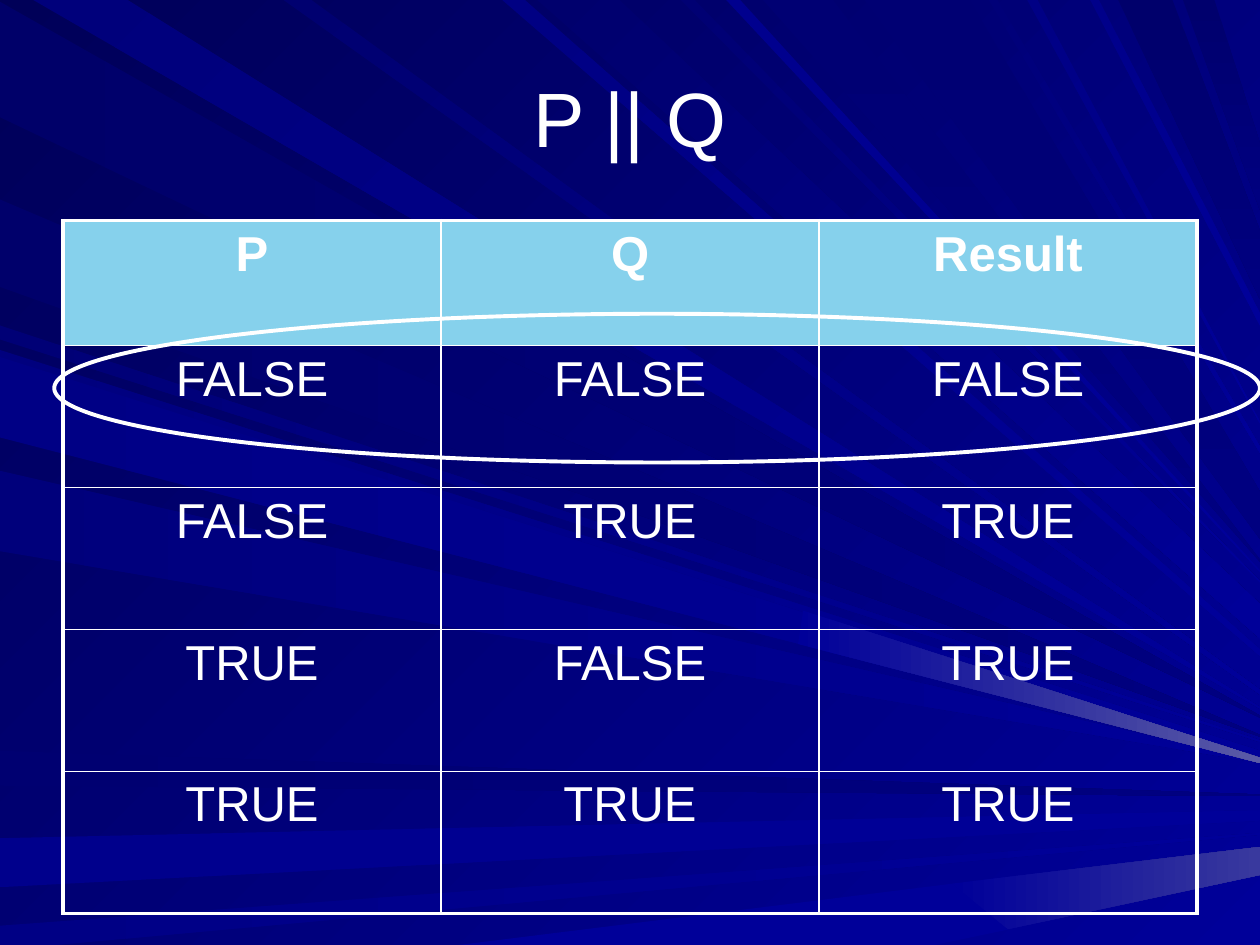
from lxml.etree import SubElement
from pptx import Presentation
from pptx.dml.color import RGBColor
from pptx.enum.shapes import MSO_SHAPE as Shape
from pptx.enum.text import MSO_ANCHOR as Anchor, PP_ALIGN as Align
from pptx.oxml.ns import qn
from pptx.util import Pt

WHITE, NAVY, BLUE = "FFFFFF", "000080", "000099"
WIDTH, HEIGHT = 720, 540

# Each ray: start and end of its root on the slide edge,
# top and bottom of its tip on the right edge, first and last colour
LEFT_RAYS = [
    (1, 67, 409, 410, "000069", NAVY),
    (429, 449, 454, 455, "000071", NAVY),
    (479, 507, 463, 469, "00008C", BLUE),
    (529, 543, 476, 477, "000085", BLUE),
    (186, 194, 423, 424, "000076", BLUE),
    (114, 164, 420, 421, "00006B", NAVY),
    (200, 246, 429, 433, "00007E", BLUE),
    (269, 315, 435, 436, "00007B", BLUE),
    (204, 250, 433, 436, "000085", BLUE),
]
TOP_RAYS = [
    (19, 73, 404, 405, "00007B", BLUE),
    (287, 300, 371, 375, "000083", BLUE),
    (307, 354, 345, 365, "00006D", BLUE),
    (389, 397, 332, 333, "000073", BLUE),
    (436, 476, 320, 321, "000073", NAVY),
    (639, 670, 132, 171, "00006B", NAVY),
    (676, 694, 82, 120, "00006D", NAVY),
    (162, 178, 394, 397, "000070", BLUE),
    (415, 423, 326, 327, "00008E", BLUE),
    (494, 554, 281, 308, "000073", NAVY),
    (565, 570, 255, 259, "000078", BLUE),
    (587, 593, 241, 242, "000085", BLUE),
    (623, 628, 179, 186, "00008A", BLUE),
]
# Bright patches near the lower right: corners, first and last colour
GLOWS = [
    ([(262, 540), (544, 505), (577, 531), (534, 540)], BLUE, BLUE),
    ([(544, 505), (720, 484), (720, 500), (576, 531)], BLUE, "39399E"),
    ([(459, 349), (720, 433), (720, 436), (456, 368)], BLUE, "5A5AA6"),
]

TRUTH_TABLE = [
    ("P", "Q", "Result"),
    ("FALSE", "FALSE", "FALSE"),
    ("FALSE", "TRUE", "TRUE"),
    ("TRUE", "FALSE", "TRUE"),
    ("TRUE", "TRUE", "TRUE"),
]


def color(hex_string):
    return RGBColor.from_string(hex_string)


def fill_gradient(fill, first, last, angle):
    """Fill from first to last colour; the angle runs clockwise."""
    if first == last:
        fill.solid()
        fill.fore_color.rgb = color(first)
        return
    fill.gradient()
    fill.gradient_angle = -angle % 360
    for stop, stop_color in zip(fill.gradient_stops, (first, last)):
        stop.color.rgb = color(stop_color)


def add_text(paragraph, text, size, bold=False):
    paragraph.alignment = Align.CENTER
    run = paragraph.add_run()
    run.text = text
    run.font.name = "Arial"
    run.font.size = Pt(size)
    run.font.bold = bold
    run.font.color.rgb = color(WHITE)


def add_ray(shapes, corners, first, last, angle):
    start, *others = corners
    builder = shapes.build_freeform(*start, scale=Pt(1))
    builder.add_line_segments(others, close=True)
    ray = builder.convert_to_shape()
    ray.shadow.inherit = False
    ray.line.fill.background()
    fill_gradient(ray.fill, first, last, angle)


def add_backdrop(slide):
    fill_gradient(slide.background.fill, "000058", BLUE, 45)
    shapes = slide.shapes.add_group_shape().shapes
    for start, end, tip_top, tip_bottom, first, last in LEFT_RAYS:
        corners = [(0, start), (WIDTH, tip_top), (WIDTH, tip_bottom), (0, end)]
        add_ray(shapes, corners, first, last, 0)
    for start, end, tip_top, tip_bottom, first, last in TOP_RAYS:
        corners = [(start, 0), (end, 0), (WIDTH, tip_top), (WIDTH, tip_bottom)]
        add_ray(shapes, corners, first, last, 90 if last == NAVY else 45)
    for corners, first, last in GLOWS:
        add_ray(shapes, corners, first, last, 0)


def place_title(slide, text, left, top, width, height):
    title = slide.shapes.title
    title.element.getparent().append(title.element)  # in front of the rays
    title.left, title.top, title.width, title.height = map(Pt, (left, top, width, height))
    title.text_frame.vertical_anchor = Anchor.MIDDLE
    add_text(title.text_frame.paragraphs[0], text, 44)


def set_border(cell, side, width):
    properties = cell._tc.get_or_add_tcPr()
    line = SubElement(properties, qn(f"a:ln{side}"), w=str(Pt(width)))
    fill = SubElement(line, qn("a:solidFill"))
    SubElement(fill, qn("a:srgbClr"), val=WHITE)


def add_truth_table(slide, rows, left, top, width, header_height, row_height):
    row_count, column_count = len(rows), len(rows[0])
    height = header_height + row_height * (row_count - 1)
    frame = slide.shapes.add_table(row_count, column_count, *map(Pt, (left, top, width, height)))
    table = frame.table
    table.first_row = table.horz_banding = False
    for row_index, values in enumerate(rows):
        is_header = row_index == 0
        table.rows[row_index].height = Pt(header_height if is_header else row_height)
        for column_index, value in enumerate(values):
            cell = table.cell(row_index, column_index)
            on_edge = {
                "L": column_index == 0,
                "R": column_index == column_count - 1,
                "T": is_header,
                "B": row_index == row_count - 1,
            }
            for side, is_outer in on_edge.items():
                set_border(cell, side, 2.25 if is_outer else 1)
            if is_header:
                cell.fill.solid()
                cell.fill.fore_color.rgb = color("86D1EC")
            else:
                cell.fill.background()
            add_text(cell.text_frame.paragraphs[0], value, 28, bold=is_header)


def add_highlight_ring(slide, left, top, width, height):
    ring = slide.shapes.add_shape(Shape.OVAL, *map(Pt, (left, top, width, height)))
    ring.shadow.inherit = False
    ring.fill.background()
    ring.line.color.rgb = color(WHITE)
    ring.line.width = Pt(2.25)


def main():
    presentation = Presentation()
    presentation.slide_width, presentation.slide_height = Pt(WIDTH), Pt(HEIGHT)
    slide = presentation.slides.add_slide(presentation.slide_layouts[5])
    add_backdrop(slide)
    place_title(slide, "P || Q", 36, 21.6, 648, 90)
    add_truth_table(slide, TRUTH_TABLE, 36, 126, 648, header_height=71.5, row_height=81.1)
    add_highlight_ring(slide, 31, 179.3, 689, 85)
    presentation.save("out.pptx")


if __name__ == "__main__":
    main()
